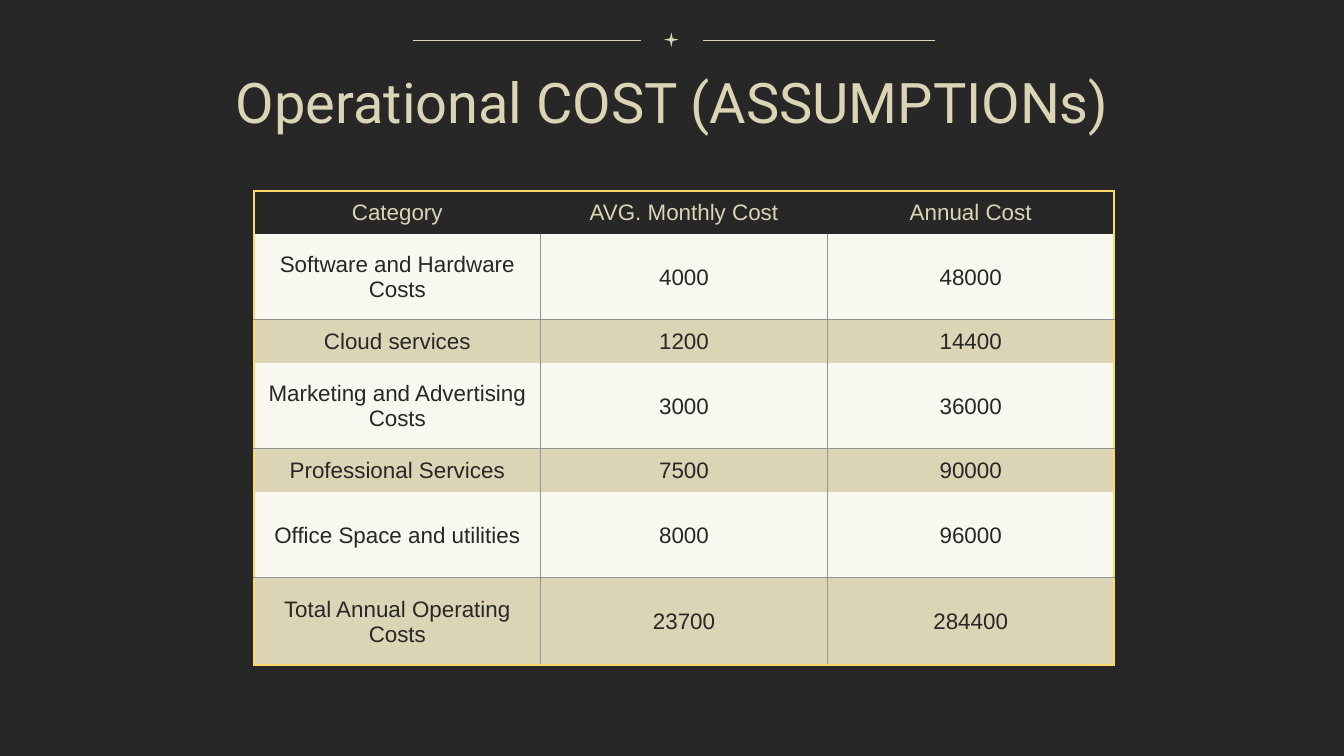
from pptx import Presentation
from pptx.dml.color import RGBColor
from pptx.enum import shapes, text
from pptx.oxml.ns import qn
from pptx.util import Inches, Pt
from lxml import etree

DARK, SAND, CREAM, GOLD, GREY = "272727", "DBD5B5", "F8F7F0", "FFD966", "939393"


def rgb(code):
    return RGBColor.from_string(code)


def edge(cell, side, color):
    """Draw one cell border, or clear it when color is None."""
    width = Pt(1) if color == GOLD else Pt(0.5)
    line = etree.SubElement(cell._tc.get_or_add_tcPr(), qn("a:ln" + side), w=str(width))
    if color is None:
        etree.SubElement(line, qn("a:noFill"))
    else:
        fill = etree.SubElement(line, qn("a:solidFill"))
        etree.SubElement(fill, qn("a:srgbClr"), val=color)


# A 16:9 slide
deck = Presentation()
deck.slide_width = Inches(10)
deck.slide_height = Inches(10 * 9 / 16)
slide = deck.slides.add_slide(deck.slide_layouts[5])
slide.background.fill.solid()
slide.background.fill.fore_color.rgb = rgb(DARK)

# Ornament: a star between two rules
star = slide.shapes.add_shape(shapes.MSO_SHAPE.STAR_4_POINT, Inches(4.94), Inches(0.24),
                              Inches(0.11), Inches(0.11))
star.adjustments[0] = 0.125
star.shadow.inherit = False
star.fill.solid()
star.fill.fore_color.rgb = rgb(SAND)
star.line.fill.background()
for start, end in [(4.77, 3.07), (6.96, 5.23)]:
    rule = slide.shapes.add_connector(shapes.MSO_CONNECTOR.STRAIGHT, Inches(start), Inches(0.3),
                                      Inches(end), Inches(0.3))
    rule.line.color.rgb = rgb(SAND)
    rule.line.width = Pt(0.75)
    etree.SubElement(rule._element.spPr, qn("a:effectLst"))

# Title
title = slide.shapes.title
title.left, title.top, title.width, title.height = map(Inches, (0.79, 0.4, 8.43, 0.6))
frame = title.text_frame
frame.margin_left = frame.margin_right = frame.margin_top = frame.margin_bottom = Inches(0.1)
frame.vertical_anchor = text.MSO_ANCHOR.TOP
frame.auto_size = text.MSO_AUTO_SIZE.NONE
frame.word_wrap = True
frame.paragraphs[0].alignment = text.PP_ALIGN.CENTER
run = frame.paragraphs[0].add_run()
run.text = "Operational COST (ASSUMPTIONs)"
run.font.size, run.font.name = Pt(30), "Roboto"
run.font.color.rgb = rgb(SAND)

# Cost table
costs = [
    ("Category", "AVG. Monthly Cost", "Annual Cost"),
    ("Software and Hardware Costs", "4000", "48000"),
    ("Cloud services", "1200", "14400"),
    ("Marketing and Advertising Costs", "3000", "36000"),
    ("Professional Services", "7500", "90000"),
    ("Office Space and utilities", "8000", "96000"),
    ("Total Annual Operating Costs", "23700", "284400"),
]
highs = [0.32, 0.64, 0.32, 0.64, 0.32, 0.64, 0.65]
last = len(costs) - 1
table = slide.shapes.add_table(len(costs), 3, Inches(1.89), Inches(1.42),
                               Inches(6.4), Inches(3.54)).table
for col in table.columns:
    col.width = Inches(6.4 / 3)
for row, high in zip(table.rows, highs):
    row.height = Inches(high)

for r, row in enumerate(costs):
    inner = GREY if r else None
    above = GOLD if r == 0 else GREY if r % 2 == 0 else None
    below = GOLD if r == last else GREY if r % 2 else None
    for c, words in enumerate(row):
        cell = table.cell(r, c)
        # Gold frame outside, grey rules inside
        edge(cell, "L", GOLD if c == 0 else inner)
        edge(cell, "R", GOLD if c == 2 else inner)
        edge(cell, "T", above)
        edge(cell, "B", below)
        cell.fill.solid()
        cell.fill.fore_color.rgb = rgb(DARK if r == 0 else CREAM if r % 2 else SAND)
        cell.margin_left = cell.margin_right = cell.margin_top = Inches(0.01)
        cell.margin_bottom = 0
        cell.vertical_anchor = text.MSO_ANCHOR.MIDDLE
        para = cell.text_frame.paragraphs[0]
        para.alignment = text.PP_ALIGN.CENTER
        run = para.add_run()
        run.text = words
        run.font.size, run.font.name, run.font.bold = Pt(12), "Arial", False
        run.font.color.rgb = rgb(DARK if r else SAND)

deck.save("out.pptx")
